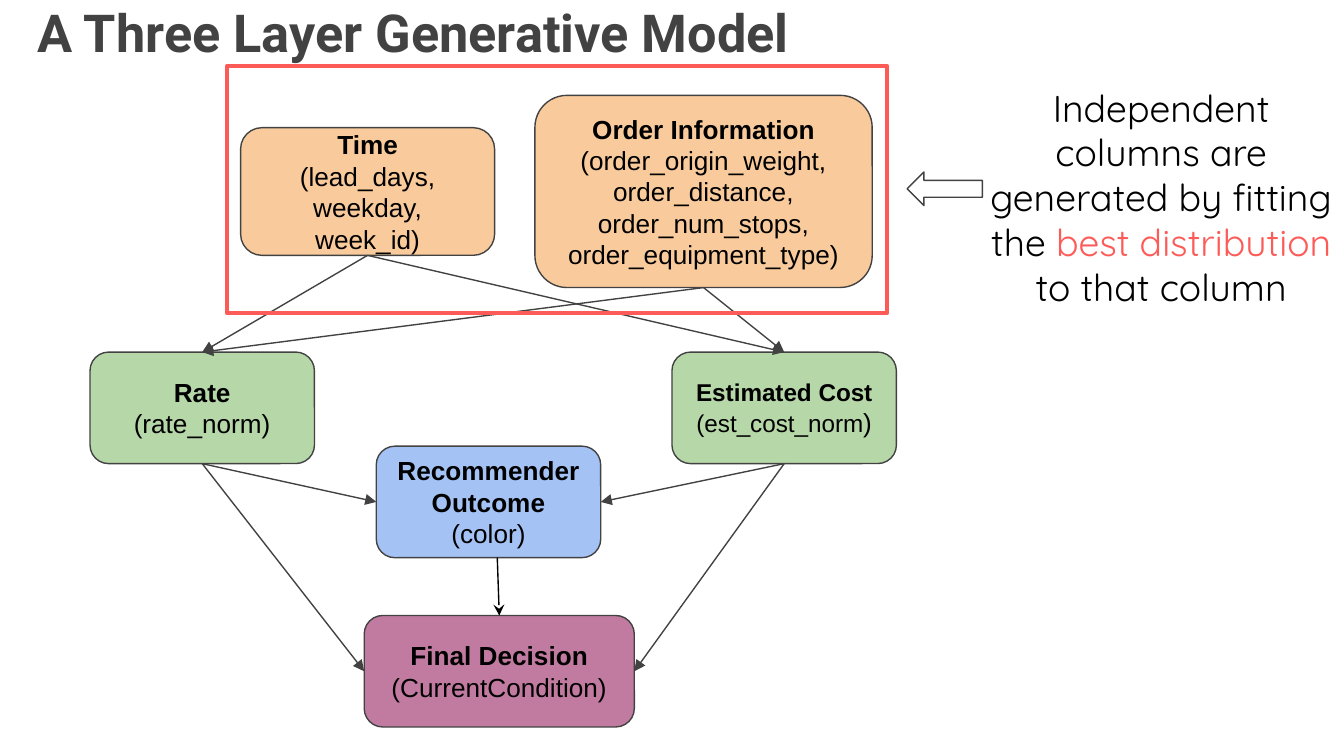
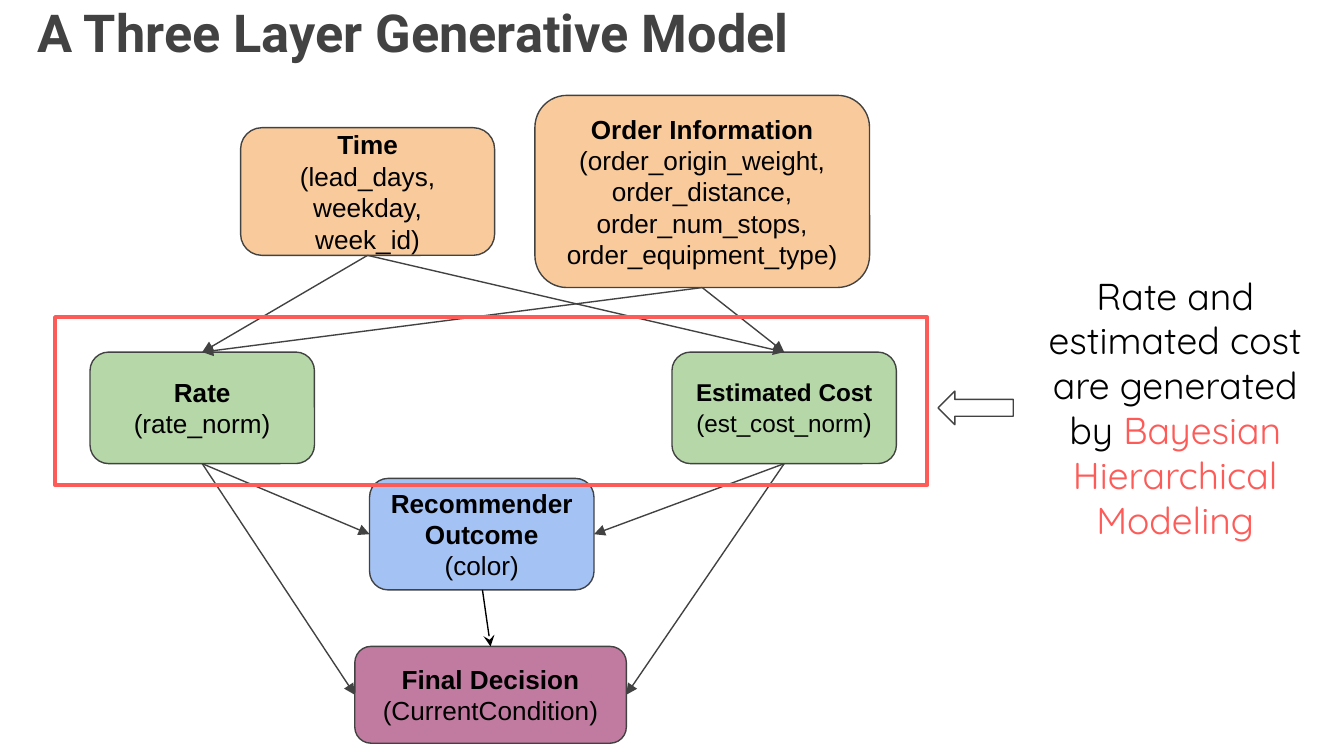
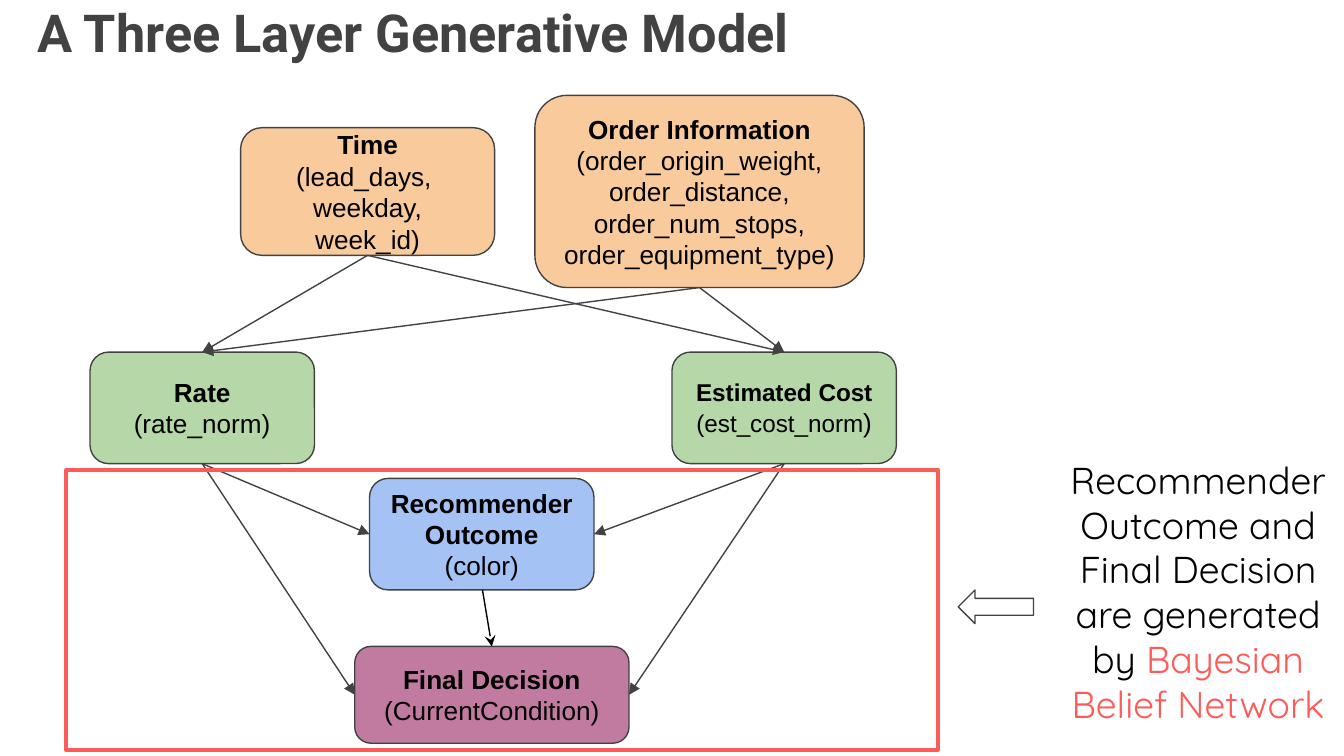
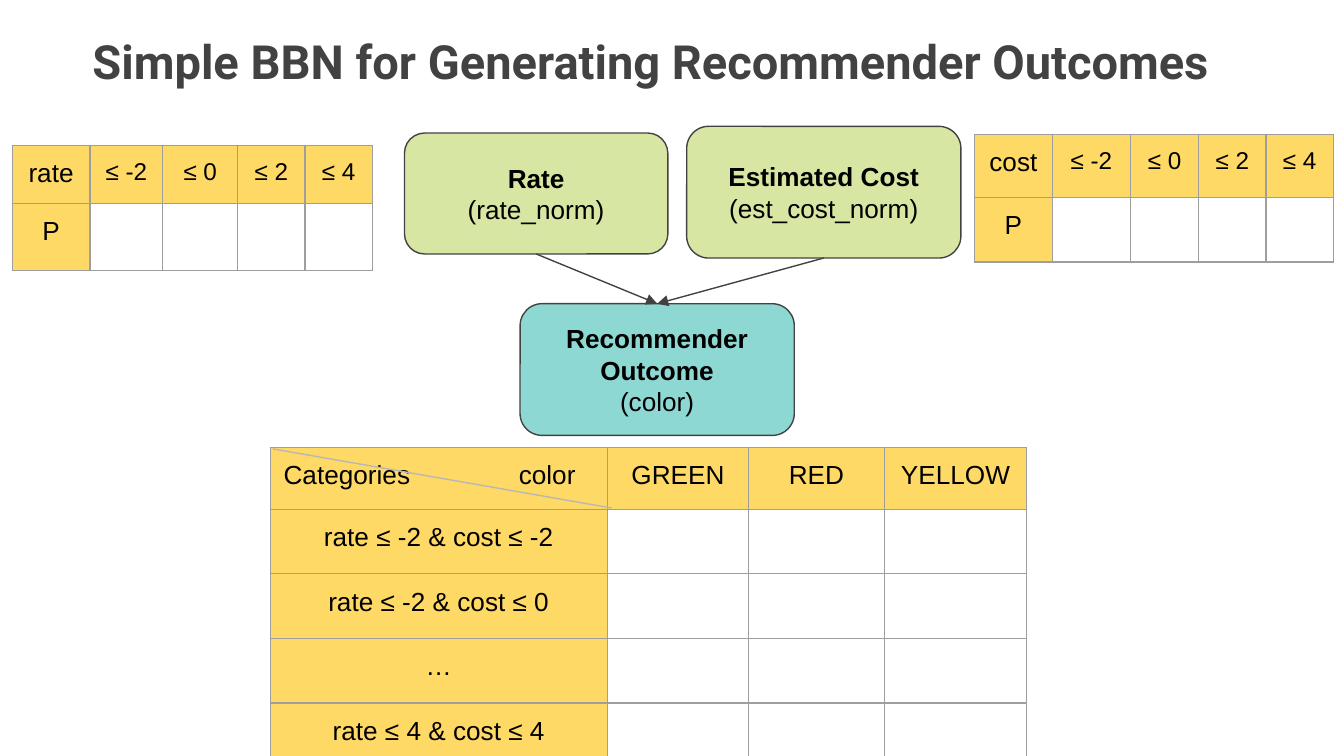
import pptx
import pptx.dml.color
import pptx.enum.shapes
import pptx.enum.text
import pptx.oxml
import pptx.oxml.ns
import pptx.util
from pptx.util import Inches

COLORS = {
    "ink": "000000",
    "outline": "424242",
    "accent": "FD5B58",
    "source": "F9CB9C",
    "estimate": "B6D7A8",
    "outcome": "A4C2F4",
    "decision": "C27BA0",
    "network_input": "D7E6A3",
    "network_output": "8DD8D3",
    "header": "FFD966",
    "grid": "9E9E9E",
    "diagonal": "B7B7B7",
}
TOP, LEFT, BOTTOM, RIGHT = range(4)
SHAPES = pptx.enum.shapes.MSO_SHAPE
ALIGN = pptx.enum.text.PP_ALIGN
ANCHOR = pptx.enum.text.MSO_ANCHOR
NAMESPACE = pptx.oxml.ns.nsdecls("a")


def rgb(name):
    return pptx.dml.color.RGBColor.from_string(COLORS[name])


def write(para, text, size=14, font="Arial", color="ink", bold=False):
    span = para.add_run()
    span.text = text
    span.font.size = pptx.util.Pt(size)
    span.font.name = font
    span.font.bold = bold
    span.font.color.rgb = rgb(color)


def heading(text, **style):
    return [(text, {"bold": True, **style})]


def plain(text, **style):
    return [(text, style)]


class Sketch:
    def __init__(self, deck):
        self.deck = deck
        self.page = None

    def new_page(self):
        self.page = self.deck.slides.add_slide(self.deck.slide_layouts[6])

    def fill_text(self, frame, paragraphs, align=ALIGN.CENTER):
        frame.word_wrap = True
        frame.margin_left = frame.margin_right = Inches(0.1)
        frame.margin_top = frame.margin_bottom = Inches(0.1)
        for index, spans in enumerate(paragraphs):
            para = frame.add_paragraph() if index else frame.paragraphs[0]
            para.alignment = align
            for text, style in spans:
                write(para, text, **style)

    def text(self, place, paragraphs, align=ALIGN.CENTER):
        box = self.page.shapes.add_textbox(*map(Inches, place))
        self.fill_text(box.text_frame, paragraphs, align)
        return box

    def title(self, place, text, size):
        self.text(place, [heading(text, size=size, font="Roboto", color="outline")], ALIGN.LEFT)

    def shape(self, kind, place, fill=None, line="outline", width=0.75):
        shape = self.page.shapes.add_shape(kind, *map(Inches, place))
        shape.shadow.inherit = False
        if fill:
            shape.fill.solid()
            shape.fill.fore_color.rgb = rgb(fill)
        else:
            shape.fill.background()
        shape.line.color.rgb = rgb(line)
        shape.line.width = pptx.util.Pt(width)
        return shape

    def node(self, place, fill, paragraphs):
        node = self.shape(SHAPES.ROUNDED_RECTANGLE, place, fill)
        node.text_frame.vertical_anchor = ANCHOR.MIDDLE
        self.fill_text(node.text_frame, paragraphs)
        return node

    def line(self, start, end, color="outline", head=None):
        line = self.page.shapes.add_connector(
            pptx.enum.shapes.MSO_CONNECTOR.STRAIGHT, *map(Inches, start + end))
        line.line.color.rgb = rgb(color)
        line.line.width = pptx.util.Pt(0.75)
        if head:
            line.line._get_or_add_ln().append(
                pptx.oxml.parse_xml(f'<a:tailEnd {NAMESPACE} type="{head}"/>'))
        line._element.spPr.append(pptx.oxml.parse_xml(f"<a:effectLst {NAMESPACE}/>"))
        return line

    def link(self, origin, origin_side, target, target_side):
        line = self.line((0, 0), (1, 1), head="triangle")
        line.begin_connect(origin, origin_side)
        line.end_connect(target, target_side)

    def callout(self, frame, arrow, note, spans):
        self.shape(SHAPES.RECTANGLE, frame, line="accent", width=2.25)
        styled = [(text, {"size": 20, "font": "Quicksand", "color": color})
                  for text, color in spans]
        box = self.text(note, [styled])
        box.text_frame.auto_size = pptx.enum.text.MSO_AUTO_SIZE.SHAPE_TO_FIT_TEXT
        self.shape(SHAPES.LEFT_ARROW, (*arrow, 0.56, 0.25))

    def cell_border(self, cell):
        properties = cell._tc.get_or_add_tcPr()
        for edge in ("lnL", "lnR", "lnT", "lnB"):
            properties.append(pptx.oxml.parse_xml(
                f'<a:{edge} {NAMESPACE} w="9525"><a:solidFill>'
                f'<a:srgbClr val="{COLORS["grid"]}"/></a:solidFill></a:{edge}>'))

    def table(self, corner, widths, heights, header, labels, header_size=14):
        table = self.page.shapes.add_table(
            len(heights), len(widths),
            *map(Inches, (*corner, sum(widths), sum(heights)))).table
        table.first_row = table.horz_banding = False
        for column, width in zip(table.columns, widths):
            column.width = Inches(width)
        for row, height in zip(table.rows, heights):
            row.height = Inches(height)
        for row in range(len(heights)):
            for column in range(len(widths)):
                cell = table.cell(row, column)
                cell.margin_left = cell.margin_right = Inches(0.1)
                cell.margin_top = cell.margin_bottom = Inches(0.1)
                self.cell_border(cell)
                para = cell.text_frame.paragraphs[0]
                if row and column:
                    cell.fill.background()
                    para._p.append(pptx.oxml.parse_xml(
                        f'<a:endParaRPr {NAMESPACE} sz="1800">'
                        '<a:latin typeface="Arial"/></a:endParaRPr>'))
                    continue
                cell.fill.solid()
                cell.fill.fore_color.rgb = rgb("header")
                para.alignment = ALIGN.CENTER
                text = labels[row - 1] if row else header[column]
                write(para, text, size=header_size if column else 14)
        return table


def draw_model(sketch, time_lines, order_width, outcome_place, decision_place, handoff, callout):
    sketch.new_page()
    time = sketch.node((1.79, 0.95, 1.89, 0.95), "source",
                       [heading("Time"), *map(plain, time_lines)])
    order = sketch.node(
        (3.98, 0.71, order_width, 1.43), "source",
        [heading("Order Information"),
         plain("(order_origin_weight, order_distance, order_num_stops, order_equipment_type)")])
    rate = sketch.node((0.67, 2.62, 1.67, 0.83), "estimate",
                       [heading("Rate"), plain("(rate_norm)")])
    cost = sketch.node((5, 2.62, 1.67, 0.83), "estimate",
                       [heading("Estimated Cost", size=13),
                        plain("(est_cost_norm", size=13) + plain(")")])
    outcome = sketch.node(outcome_place, "outcome",
                          [heading("Recommender Outcome"), plain("(color)")])
    decision = sketch.node(decision_place, "decision",
                           [heading("Final Decision"), plain("(CurrentCondition)")])
    for origin in (time, order):
        for target in (rate, cost):
            sketch.link(origin, BOTTOM, target, TOP)
    for target in (outcome, decision):
        sketch.link(rate, BOTTOM, target, LEFT)
        sketch.link(cost, BOTTOM, target, RIGHT)
    sketch.callout(**callout)
    left, top, width, height = outcome_place
    sketch.line((handoff, top + height),
                (decision_place[0] + decision_place[2] / 2, decision_place[1]),
                color="ink", head="stealth")
    sketch.title((0.18, -0.1, 7.69, 1.09), "A Three Layer Generative Model", 28)


def draw_network(sketch):
    sketch.new_page()
    rate = sketch.node((3.01, 0.99, 1.96, 0.9), "network_input",
                       [heading("Rate"), plain("(rate_norm)")])
    cost = sketch.node((5.11, 0.94, 2.04, 0.98), "network_input",
                       [heading("Estimated Cost"), plain("(est_cost_norm)")])
    outcome = sketch.node((3.87, 2.26, 2.04, 0.98), "network_output",
                          [heading("Recommender Outcome"), plain("(color)")])
    for origin in (cost, rate):
        sketch.link(origin, BOTTOM, outcome, TOP)

    limits = ["≤ -2", "≤ 0", "≤ 2", "≤ 4"]
    sketch.table((7.25, 1), [0.58, 0.58, 0.51, 0.5, 0.5], [0.47, 0.43],
                 ["cost", *limits], ["P"], header_size=13)
    outcomes = sketch.table(
        (2.01, 3.33), [2.51, 1.05, 1.01, 1.06], [0.46] + [0.43] * 4,
        ["Categories\tcolor", "GREEN", "RED", "YELLOW"],
        ["rate ≤ -2 & cost ≤ -2", "rate ≤ -2 & cost ≤ 0", "…", "rate ≤ 4 & cost ≤ 4"])
    corner = outcomes.cell(0, 0).text_frame.paragraphs[0]
    corner.alignment = ALIGN.LEFT
    corner._p.get_or_add_pPr().append(pptx.oxml.parse_xml(
        f'<a:tabLst {NAMESPACE}><a:tab pos="{Inches(1.75)}" algn="l"/></a:tabLst>'))
    sketch.title((0.59, 0.14, 9.14, 0.75),
                 "Simple BBN for Generating Recommender Outcomes", 25.2)
    sketch.table((0.09, 1.08), [0.58, 0.54, 0.56, 0.5, 0.5], [0.39, 0.33],
                 ["rate", *limits], ["P"], header_size=13)
    sketch.line((2.03, 3.34), (4.55, 3.78), color="diagonal")


def main():
    deck = pptx.Presentation()
    deck.slide_width = Inches(10)
    deck.slide_height = deck.slide_width * 9 // 16
    sketch = Sketch(deck)
    wrapped_time = ["(lead_days,", "weekday, week_id)"]
    draw_model(
        sketch, wrapped_time, 2.51, (2.8, 3.32, 1.67, 0.83), (2.71, 4.58, 2.01, 0.83), 3.7,
        dict(frame=(1.69, 0.49, 4.91, 1.84), arrow=(6.75, 1.28), note=(7.2, 0.53, 2.88, 1.89),
             spans=[("Independent columns are generated by fitting the ", "ink"),
                    ("best distribution", "accent"), (" to that column", "ink")]))
    draw_model(
        sketch, wrapped_time, 2.49, (2.75, 3.56, 1.67, 0.83), (2.64, 4.81, 2.02, 0.72), 3.59,
        dict(frame=(0.41, 2.36, 6.49, 1.25), arrow=(6.98, 2.91), note=(7.68, 1.93, 2.13, 2.22),
             spans=[("Rate and estimated cost are generated by ", "ink"),
                    ("Bayesian Hierarchical Modeling", "accent")]))
    draw_model(
        sketch, ["(lead_days, ", "weekday,", "week_id)"], 2.45,
        (2.75, 3.56, 1.67, 0.83), (2.64, 4.81, 2.04, 0.72), 3.59,
        dict(frame=(0.49, 3.5, 6.49, 2.08), arrow=(7.13, 4.39), note=(7.85, 3.3, 2.13, 2.22),
             spans=[("Recommender Outcome and Final Decision are generated by ", "ink"),
                    ("Bayesian Belief Network", "accent")]))
    draw_network(sketch)
    deck.save("out.pptx")


if __name__ == "__main__":
    main()
